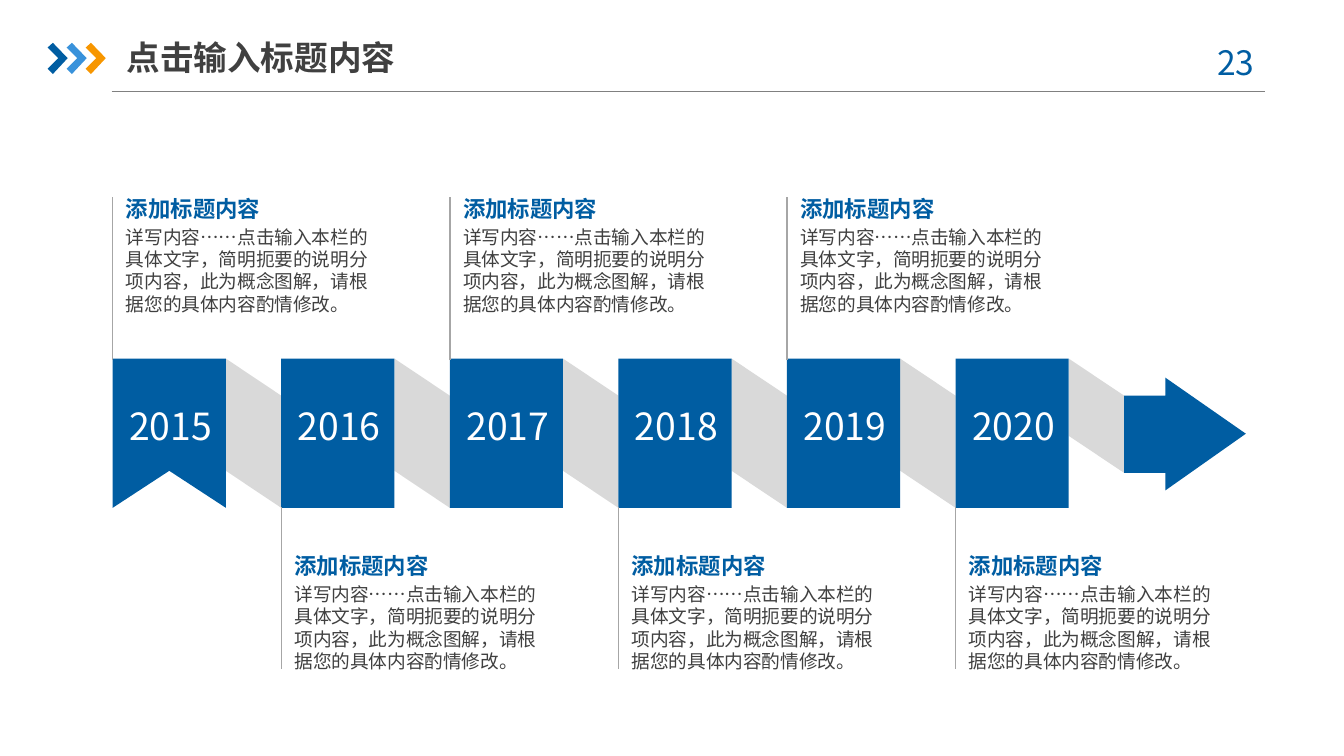
from dataclasses import dataclass

from lxml import etree
from pptx import Presentation
from pptx import util as u
from pptx.dml.color import RGBColor
from pptx.enum import shapes, text
from pptx.oxml import ns
from pptx.util import Cm


@dataclass(frozen=True)
class Theme:
    font: str = "Noto Sans CJK SC"
    blue: str = "005DA2"
    sky: str = "3992DB"
    orange: str = "F79600"
    fold: str = "D9D9D9"
    rule: str = "808080"
    stem: str = "A6A6A6"
    ink: str = "404040"
    white: str = "FFFFFF"
    title_size: float = 18
    year_size: float = 20
    heading_size: float = 12
    body_size: float = 10
    line_width: float = 0.75


THEME = Theme()
YEARS = ["2015", "2016", "2017", "2018", "2019", "2020"]
HEADING = "添加标题内容"
BODY = ("详写内容……点击输入本栏的具体文字，简明扼要的说明分项内容，"
        "此为概念图解，请根据您的具体内容酌情修改。")

# Ribbon geometry in centimetres
FIRST_LEFT, LAST_LEFT = 2.13, 18.06
PITCH = (LAST_LEFT - FIRST_LEFT) / (len(YEARS) - 1)
BLOCK_WIDTH, BLOCK_HEIGHT = 2.14, 2.82
RIBBON_TOP = 6.78
RIBBON_BOTTOM = RIBBON_TOP + BLOCK_HEIGHT
FOLD_DROP = 0.7


def paint(shape, color):
    shape.fill.solid()
    shape.fill.fore_color.rgb = RGBColor.from_string(color)
    shape.line.fill.background()
    shape.shadow.inherit = False


def add_outline(slide, points, color):
    corners = [(Cm(x), Cm(y)) for x, y in points]
    builder = slide.shapes.build_freeform(*corners[0], scale=1.0)
    builder.add_line_segments(corners[1:], close=True)
    paint(builder.convert_to_shape(), color)


def add_rule(slide, x1, y1, x2, y2, color):
    rule = slide.shapes.add_connector(
        shapes.MSO_CONNECTOR.STRAIGHT, Cm(x1), Cm(y1), Cm(x2), Cm(y2))
    rule.line.color.rgb = RGBColor.from_string(color)
    rule.line.width = u.Pt(THEME.line_width)
    etree.SubElement(rule._element.spPr, ns.qn("a:effectLst"))


def style(paragraph, size, color, bold=False):
    for run in paragraph.runs:
        run.font.size = u.Pt(size)
        run.font.bold = bold
        run.font.color.rgb = RGBColor.from_string(color)
        run.font.name = THEME.font
        east_asian = etree.SubElement(run.font._element, ns.qn("a:ea"))
        east_asian.set("typeface", THEME.font)


def add_frame(slide, left, top, width, height):
    frame = slide.shapes.add_textbox(
        Cm(left), Cm(top), Cm(width), Cm(height)).text_frame
    frame.word_wrap = True
    return frame


def add_label(slide, box, words, size, color, bold=False, centred=True):
    frame = add_frame(slide, *box)
    frame.vertical_anchor = text.MSO_ANCHOR.MIDDLE
    frame.text = words
    label = frame.paragraphs[0]
    if centred:
        label.alignment = text.PP_ALIGN.CENTER
    style(label, size, color, bold)
    return frame


def add_header(slide):
    add_rule(slide, 2.11, 1.73, 23.9, 1.73, THEME.rule)
    for i, color in enumerate([THEME.blue, THEME.sky, THEME.orange]):
        left = 0.9 + 0.36 * i
        chevron = [(0, 0.9), (0.1, 0.81), (0.38, 1.1),
                   (0.1, 1.4), (0, 1.3), (0.2, 1.1)]
        add_outline(slide, [(left + x, y) for x, y in chevron], color)
    add_label(slide, (22.5, 0.66, 1.85, 1.02), "23 ",
              THEME.title_size, THEME.blue)
    title = add_label(slide, (2.39, 0.54, 5.92, 1.07), "点击输入标题内容",
                      THEME.title_size, THEME.ink, bold=True, centred=False)
    title.margin_left = title.margin_right = 0


def add_fold(slide, block_left, right_bottom):
    left, right = block_left + BLOCK_WIDTH, block_left + PITCH
    add_outline(slide, [(left, RIBBON_TOP), (right, RIBBON_TOP + FOLD_DROP),
                        (right, right_bottom),
                        (left, right_bottom - FOLD_DROP)], THEME.fold)


def add_arrow(slide, left):
    neck, tip = left + 0.78, left + 2.3
    add_outline(slide, [(neck, 9.27), (neck, 8.94), (left, 8.94),
                        (left, 7.48), (neck, 7.48), (neck, 7.14),
                        (tip, 8.2)], THEME.blue)


def add_year(slide, left, year, notched):
    right = left + BLOCK_WIDTH
    if notched:
        add_outline(slide, [(left, RIBBON_TOP), (right, RIBBON_TOP),
                            (right, RIBBON_BOTTOM),
                            (left + BLOCK_WIDTH / 2, RIBBON_BOTTOM - FOLD_DROP),
                            (left, RIBBON_BOTTOM)], THEME.blue)
    else:
        block = slide.shapes.add_shape(
            shapes.MSO_SHAPE.RECTANGLE, Cm(left), Cm(RIBBON_TOP),
            Cm(BLOCK_WIDTH), Cm(BLOCK_HEIGHT))
        paint(block, THEME.blue)
    add_label(slide, (left - 0.24, 7.11, 2.67, 1.88), year,
              THEME.year_size, THEME.white)


def add_note(slide, left, text_top, stem_top):
    frame = add_frame(slide, left, text_top, 5.33, 2.59)
    frame.text = HEADING
    heading, body = frame.paragraphs[0], frame.add_paragraph()
    body.text = BODY
    body.space_before = u.Pt(2)
    heading.line_spacing = u.Pt(1.2 * THEME.heading_size)
    body.line_spacing = u.Pt(1.2 * THEME.body_size)
    style(heading, THEME.heading_size, THEME.blue, bold=True)
    style(body, THEME.body_size, THEME.ink)
    add_rule(slide, left, stem_top, left, stem_top + 3.07, THEME.stem)


def main():
    deck = Presentation()
    deck.slide_width, deck.slide_height = Cm(25.4), Cm(14.29)
    slide = deck.slides.add_slide(deck.slide_layouts[6])
    lefts = [FIRST_LEFT + PITCH * i for i in range(len(YEARS))]

    add_header(slide)

    # Folds behind the ribbon, the last one narrowing into the arrow
    for left in lefts[:-1]:
        add_fold(slide, left, RIBBON_BOTTOM)
    add_fold(slide, LAST_LEFT, 8.94)
    add_arrow(slide, LAST_LEFT + PITCH)

    # Year blocks
    for i, (left, year) in enumerate(zip(lefts, YEARS)):
        add_year(slide, left, year, notched=i == 0)

    # Notes alternate above and below the ribbon
    for i, left in enumerate(lefts):
        text_top, stem_top = (10.31, 9.58) if i % 2 else (3.56, 3.73)
        add_note(slide, left, text_top, stem_top)

    deck.save("out.pptx")


if __name__ == "__main__":
    main()
